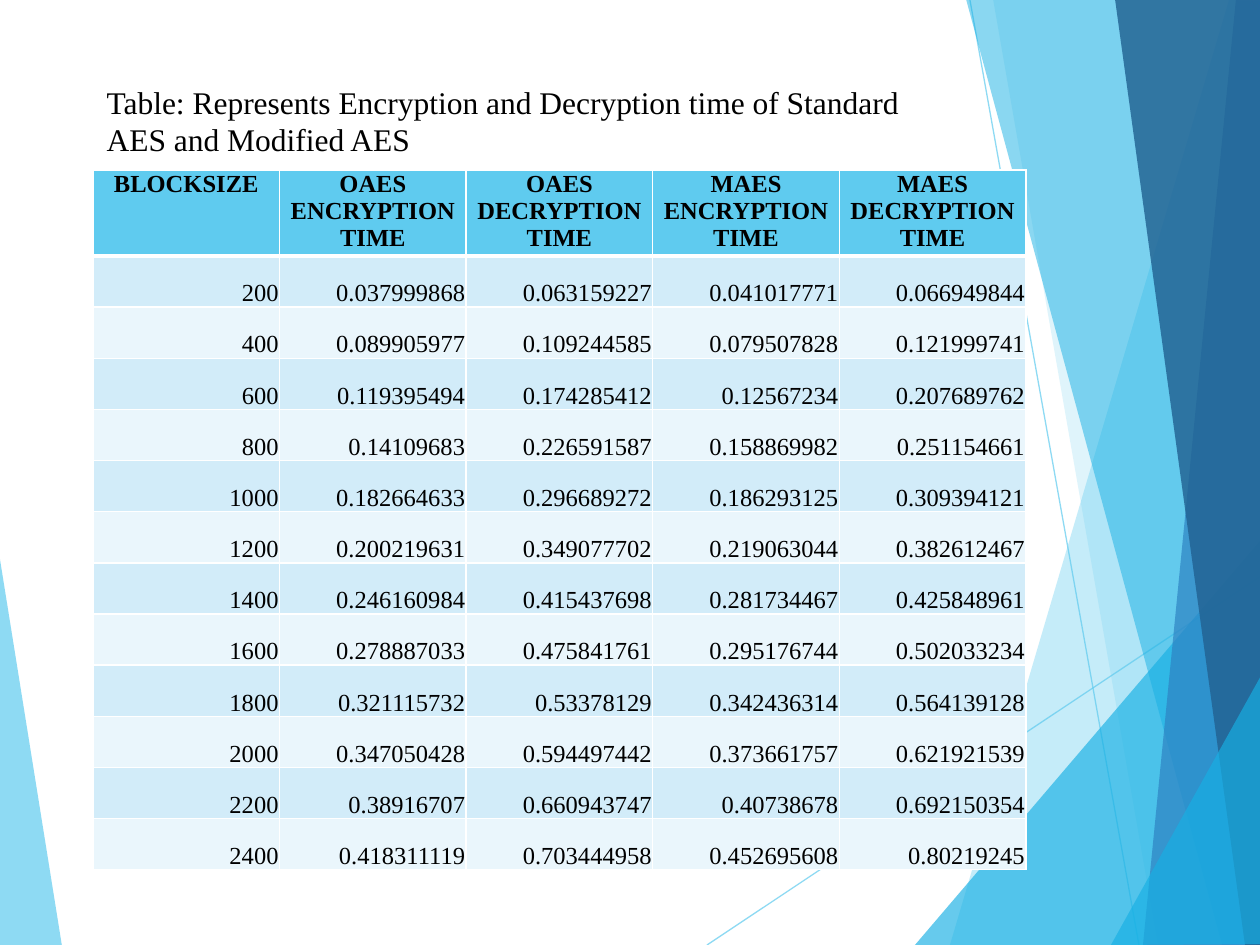
from dataclasses import dataclass
from typing import NamedTuple

from pptx import Presentation
from pptx.dml.color import RGBColor
from pptx.enum.shapes import MSO_CONNECTOR
from pptx.enum.text import MSO_ANCHOR as Anchor, MSO_AUTO_SIZE as AutoSize, PP_ALIGN as Align
from pptx.oxml.ns import qn
from pptx.oxml.xmlchemy import OxmlElement as Element
from pptx.util import Emu, Pt

EMU_PER_PX = 914400 / 126


@dataclass(frozen=True)
class Theme:
    font: str = "Times New Roman"
    text: str = "000000"
    white: str = "FFFFFF"
    sky: str = "5FCBEF"
    cyan: str = "17B0E4"
    blue: str = "2E83C3"
    navy: str = "226292"
    bands: tuple[str, str] = ("D2ECF9", "EAF6FC")
    title_size: int = 18
    table_size: int = 14
    hairline: float = 0.75
    border: int = 1
    header_rule: int = 3


class Facet(NamedTuple):
    points: list[tuple[int, int]]
    color: str
    opacity: int


class Ray(NamedTuple):
    start: tuple[int, int]
    end: tuple[int, int]


THEME = Theme()

LEFT_FACET = Facet([(-1, 553), (62, 946), (-1, 945)], THEME.sky, 70)
RAYS = [Ray((707, 945), (1261, 576)), Ray((970, 0), (1139, 945))]
RIGHT_FACETS = [
    Facet([(1229, 0), (950, 945), (1262, 946), (1261, 1)], THEME.sky, 36),
    Facet([(993, -1), (1158, 945), (1261, 945), (1261, -1)], THEME.sky, 20),
    Facet([(915, 945), (1260, 541), (1261, 945)], THEME.cyan, 66),
    Facet([(966, -1), (1222, 945), (1261, 944), (1261, -1)], THEME.cyan, 50),
    Facet([(1236, -1), (1143, 945), (1261, 945), (1260, -1)], THEME.blue, 70),
    Facet([(1115, -1), (1245, 945), (1262, 945), (1260, -1)], THEME.navy, 82),
    Facet([(1111, 945), (1262, 674), (1262, 944)], THEME.cyan, 66),
]

TITLE = "Table: Represents Encryption and Decryption time of Standard AES and Modified AES"
HEADINGS = ["BLOCKSIZE", "OAES ENCRYPTION TIME", "OAES DECRYPTION TIME",
            "MAES ENCRYPTION TIME", "MAES DECRYPTION TIME"]
TIMES = [
    (200, 0.037999868, 0.063159227, 0.041017771, 0.066949844),
    (400, 0.089905977, 0.109244585, 0.079507828, 0.121999741),
    (600, 0.119395494, 0.174285412, 0.12567234, 0.207689762),
    (800, 0.14109683, 0.226591587, 0.158869982, 0.251154661),
    (1000, 0.182664633, 0.296689272, 0.186293125, 0.309394121),
    (1200, 0.200219631, 0.349077702, 0.219063044, 0.382612467),
    (1400, 0.246160984, 0.415437698, 0.281734467, 0.425848961),
    (1600, 0.278887033, 0.475841761, 0.295176744, 0.502033234),
    (1800, 0.321115732, 0.53378129, 0.342436314, 0.564139128),
    (2000, 0.347050428, 0.594497442, 0.373661757, 0.621921539),
    (2200, 0.38916707, 0.660943747, 0.40738678, 0.692150354),
    (2400, 0.418311119, 0.703444958, 0.452695608, 0.80219245),
]


def px(length: int) -> Emu:
    return Emu(round(length * EMU_PER_PX))


def rgb(color: str) -> RGBColor:
    return RGBColor.from_string(color)


def set_opacity(shape, percent: int) -> None:
    for color in shape.element.iter(qn("a:srgbClr")):
        alpha = Element("a:alpha")
        alpha.set("val", str(percent * 1000))
        color.append(alpha)


def write(frame, text: str, *, size: int, align=Align.LEFT, bold: bool = False) -> None:
    para = frame.paragraphs[0]
    para.alignment = align
    span = para.add_run()
    span.text = text
    span.font.name = THEME.font
    span.font.size = Pt(size)
    span.font.bold = bold
    span.font.color.rgb = rgb(THEME.text)


def draw_facet(page, facet: Facet) -> None:
    first, *others = facet.points
    builder = page.shapes.build_freeform(*first, scale=EMU_PER_PX)
    builder.add_line_segments(others, close=True)
    shape = builder.convert_to_shape()
    shape.shadow.inherit = False
    shape.fill.solid()
    shape.fill.fore_color.rgb = rgb(facet.color)
    shape.line.fill.background()
    set_opacity(shape, facet.opacity)


def draw_ray(page, ray: Ray) -> None:
    line = page.shapes.add_connector(
        MSO_CONNECTOR.STRAIGHT, *map(px, ray.start), *map(px, ray.end))
    line.line.color.rgb = rgb(THEME.sky)
    line.line.width = Pt(THEME.hairline)
    line.element.spPr.append(Element("a:effectLst"))
    set_opacity(line, 70)


def set_borders(cell, *, top: int, bottom: int) -> None:
    widths = {"lnL": THEME.border, "lnR": THEME.border, "lnT": top, "lnB": bottom}
    properties = cell._tc.get_or_add_tcPr()
    for place, (side, width) in enumerate(widths.items()):
        line, fill, color = Element(f"a:{side}"), Element("a:solidFill"), Element("a:srgbClr")
        line.set("w", str(Pt(width)))
        color.set("val", THEME.white)
        fill.append(color)
        line.append(fill)
        properties.insert(place, line)


def draw_cell(cell, text: str, row: int) -> None:
    header = row == 0
    cell.margin_left = cell.margin_top = cell.margin_right = px(1)
    cell.margin_bottom = 0
    cell.vertical_anchor = Anchor.TOP if header else Anchor.BOTTOM
    cell.fill.solid()
    cell.fill.fore_color.rgb = rgb(THEME.sky if header else THEME.bands[(row - 1) % 2])
    set_borders(cell, top=THEME.header_rule if row == 1 else THEME.border,
                bottom=THEME.header_rule if header else THEME.border)
    write(cell.text_frame, text, size=THEME.table_size, bold=header,
          align=Align.CENTER if header else Align.RIGHT)


def draw_table(page, *, left: int, top: int, width: int, header: int, body: int) -> None:
    rows = [HEADINGS, *TIMES]
    table = page.shapes.add_table(len(rows), len(HEADINGS), px(left), px(top),
                                  px(width), px(header + body)).table
    for column in table.columns:
        column.width = px(width) // len(HEADINGS)
    for number, values in enumerate(rows):
        table.rows[number].height = px(body) // len(TIMES) if number else px(header)
        for column, value in enumerate(values):
            draw_cell(table.cell(number, column), str(value), number)


def draw_title(page) -> None:
    title = page.shapes.title
    title.left, title.top, title.width, title.height = map(px, (94, 76, 874, 89))
    frame = title.text_frame
    frame.word_wrap = True
    frame.auto_size = AutoSize.NONE
    frame.vertical_anchor = Anchor.MIDDLE
    write(frame, TITLE, size=THEME.title_size)


def main() -> None:
    deck = Presentation()
    deck.slide_width, deck.slide_height = px(1260), px(945)
    page = deck.slides.add_slide(deck.slide_layouts[5])

    # Faceted background
    draw_facet(page, LEFT_FACET)
    for ray in RAYS:
        draw_ray(page, ray)
    for facet in RIGHT_FACETS:
        draw_facet(page, facet)

    # Title, brought in front of the background
    draw_title(page)
    page.shapes.element.append(page.shapes.title.element)

    # Timing table
    draw_table(page, left=93, top=170, width=933, header=86, body=614)

    deck.save("out.pptx")


if __name__ == "__main__":
    main()
